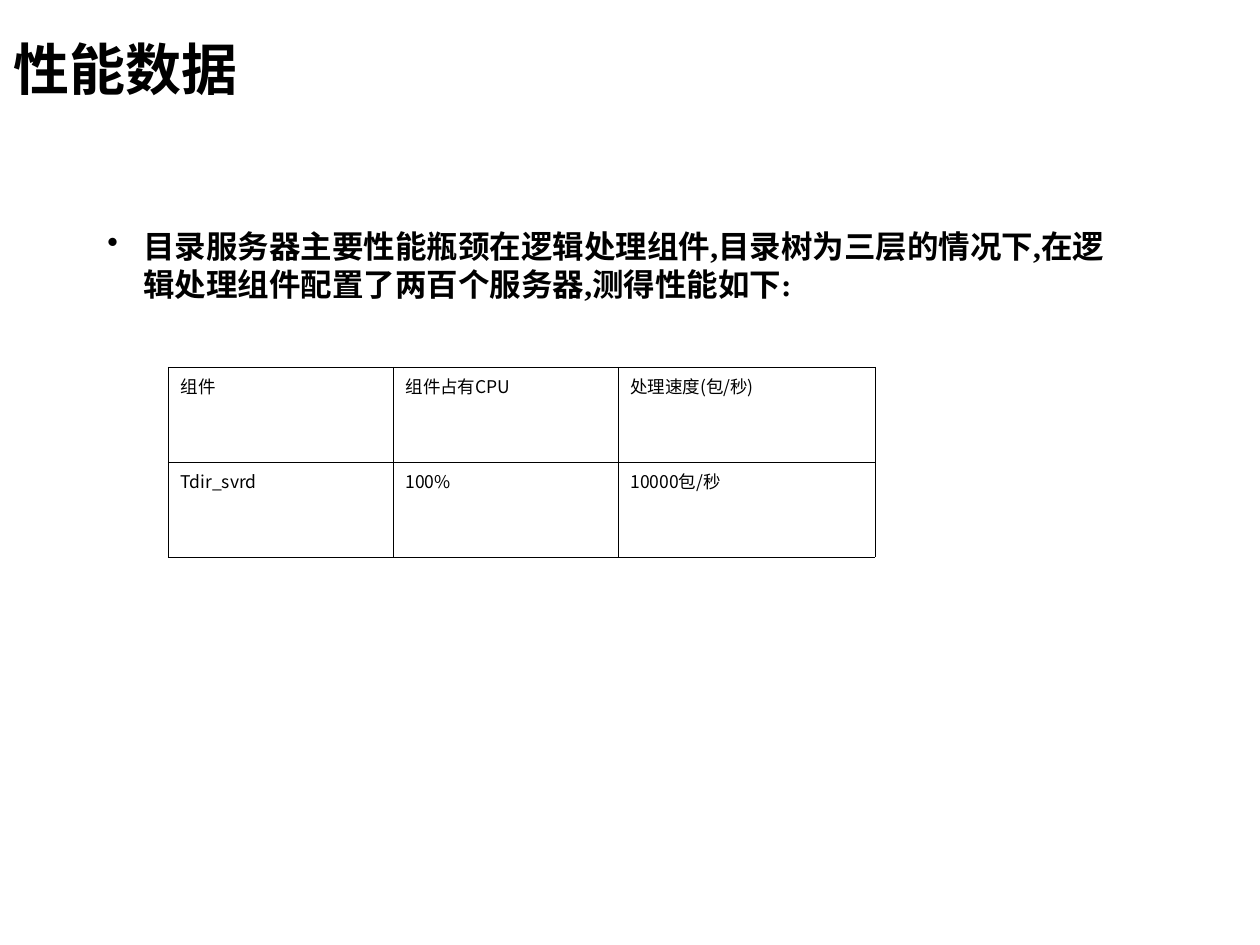
import pptx
import pptx.util
import pptx.dml.color
import pptx.enum.text
import pptx.oxml.ns
import lxml.etree

SCALE = 914400 // 126
COLORS = {"ink": "000000", "paper": "FFFFFF"}


def px(n):
    return pptx.util.Emu(n * SCALE)


def add(node, tag, **attrs):
    return lxml.etree.SubElement(node, pptx.oxml.ns.qn(tag), **attrs)


class Deck:
    serif = "Times New Roman"
    sans = "Noto Sans CJK SC"

    def __init__(self, wide, high):
        self.prs = pptx.Presentation()
        self.prs.slide_width = pptx.util.Inches(wide)
        self.prs.slide_height = pptx.util.Inches(high)
        self.slide = self.prs.slides.add_slide(self.prs.slide_layouts[6])
        fill = self.slide.background.fill
        fill.solid()
        fill.fore_color.rgb = self.color("paper")

    def color(self, name):
        return pptx.dml.color.RGBColor.from_string(COLORS[name])

    def style(self, para, size, face, bold=False):
        for run in para.runs:
            font = run.font
            font.size = pptx.util.Pt(size)
            font.name = face
            font.bold = bold
            font.color.rgb = self.color("ink")
            add(font._element, "a:ea", typeface=self.sans)

    def text(self, words, box, size, anchor):
        shape = self.slide.shapes.add_textbox(*map(px, box))
        frame = shape.text_frame
        frame.word_wrap = True
        frame.vertical_anchor = anchor
        frame.text = words
        para = frame.paragraphs[0]
        self.style(para, size, self.serif, True)
        return para

    def title(self, words, box):
        self.text(words, box, 32, pptx.enum.text.MSO_ANCHOR.MIDDLE)

    def bullet(self, words, box, indent):
        para = self.text(words, box, 18, pptx.enum.text.MSO_ANCHOR.TOP)
        para.line_spacing = pptx.util.Pt(21.7)
        props = para._p.get_or_add_pPr()
        props.set("marL", str(px(indent)))
        props.set("indent", str(-px(indent)))
        add(props, "a:buChar", char="•")

    def border(self, cell):
        props = cell._tc.get_or_add_tcPr()
        for side in ("L", "R", "T", "B"):
            line = add(props, "a:ln" + side, w=str(pptx.util.Pt(0.23)))
            fill = add(line, "a:solidFill")
            add(fill, "a:srgbClr", val=COLORS["ink"])

    def table(self, rows, left, top, widths, height):
        frame = self.slide.shapes.add_table(
            len(rows), len(widths), px(left), px(top),
            px(sum(widths)), px(height * len(rows)))
        table = frame.table
        table.first_row = False
        table.horz_banding = False
        for col, width in zip(table.columns, widths):
            col.width = px(width)
        for row, words in zip(table.rows, rows):
            row.height = px(height)
            for cell, word in zip(row.cells, words):
                cell.text_frame.text = word
                self.style(cell.text_frame.paragraphs[0], 10, self.sans)
                self.border(cell)
                cell.fill.background()

    def save(self):
        self.prs.save("out.pptx")


def main():
    deck = Deck(10, 7.5)
    deck.title("性能数据", (1, 10, 828, 116))
    deck.bullet(
        "目录服务器主要性能瓶颈在逻辑处理组件,目录树为三层的情况下,"
        "在逻辑处理组件配置了两百个服务器,测得性能如下:",
        (95, 221, 1050, 661), 36)
    deck.table(
        [["组件", "组件占有CPU", "处理速度(包/秒)"],
         ["Tdir_svrd", "100%", "10000包/秒"]],
        168, 367, (225, 225, 257), 95)
    deck.save()


if __name__ == "__main__":
    main()
